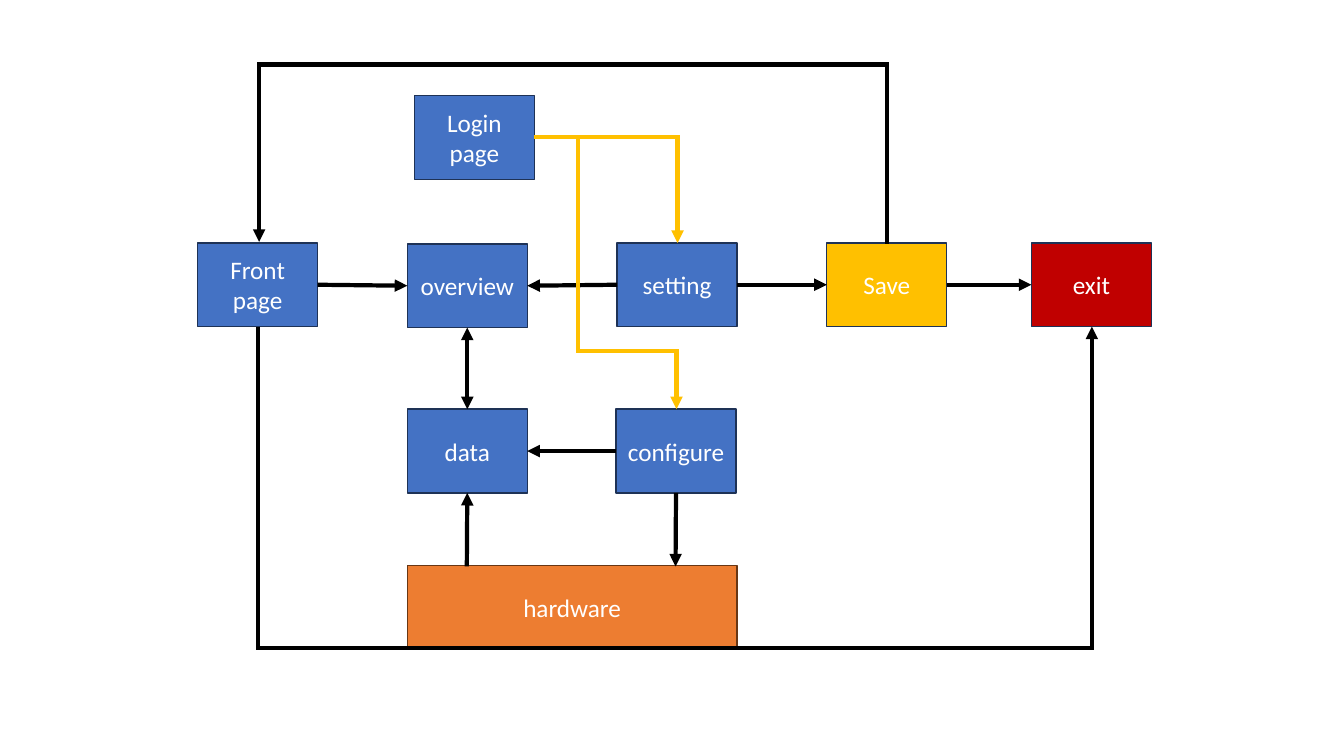
from lxml.etree import SubElement as Sub
from pptx import Presentation
from pptx.dml.color import RGBColor as Rgb
from pptx.enum.shapes import MSO_CONNECTOR as Conn, MSO_SHAPE as Kind
from pptx.enum.text import MSO_ANCHOR as Anchor, PP_ALIGN as Align
from pptx.oxml.ns import qn
from pptx.util import Pt

PX = 9144
TOP, LEFT, BOTTOM, RIGHT = range(4)
BLUE, GOLD, RED, ORANGE = "4472C4", "FFC000", "C00000", "ED7D31"
NAVY, BROWN, BLACK, WHITE = "1E3256", "683715", "000000", "FFFFFF"

BOXES = {
    "front": ("Front page", 196, 241, BLUE),
    "login": ("Login\npage", 411, 95, BLUE),
    "over": ("overview", 404, 242, BLUE),
    "set": ("setting", 612, 241, BLUE),
    "conf": ("configure", 611, 406, BLUE),
    "data": ("data", 404, 406, BLUE),
    "exit": ("exit", 1023, 241, RED),
    "save": ("Save", 820, 241, GOLD),
}

LINKS = [
    ("front", RIGHT, "over", LEFT),
    ("set", LEFT, "over", RIGHT),
    ("set", RIGHT, "save", LEFT),
    ("save", RIGHT, "exit", LEFT),
    ("conf", LEFT, "data", RIGHT),
]

ROUTES = [
    (GOLD, [(573, 136), (573, 348), (671, 348), (671, 406)]),
    (GOLD, [(530, 136), (672, 136), (672, 241)]),
    (BLACK, [(880, 242), (880, 64), (257, 64), (257, 240)]),
    (BLACK, [(256, 324), (256, 643), (1083, 643), (1083, 324)]),
]


def paint(form, color):
    form.solid()
    form.fore_color.rgb = Rgb.from_string(color)


def add_box(slide, text, x, y, color, width=119, edge=NAVY):
    box = slide.shapes.add_shape(
        Kind.RECTANGLE, x * PX, y * PX, width * PX, 83 * PX)
    box.shadow.inherit = False
    paint(box.fill, color)
    paint(box.line.fill, edge)
    box.line.width = Pt(1)
    frame = box.text_frame
    frame.word_wrap = True
    frame.vertical_anchor = Anchor.MIDDLE
    frame.text = text
    for par in frame.paragraphs:
        par.alignment = Align.CENTER
        par.font.name = "Calibri"
        par.font.size = Pt(18)
        paint(par.font.fill, WHITE)
    return box


def style(shape, color, both=False):
    paint(shape.line.fill, color)
    shape.line.width = Pt(3)
    edge = shape.line.fill._xPr
    Sub(edge, qn("a:miter"), lim="800000")
    if both:
        Sub(edge, qn("a:headEnd"), type="triangle")
    Sub(edge, qn("a:tailEnd"), type="triangle")


def add_link(slide, start=None, end=None, at=(0, 0), both=False):
    x, y = (v * PX for v in at)
    link = slide.shapes.add_connector(Conn.STRAIGHT, x, y, x, y)
    if start:
        link.begin_connect(*start)
    if end:
        link.end_connect(*end)
    style(link, BLACK, both)
    Sub(link._element.spPr, qn("a:effectLst"))


def add_route(slide, color, points):
    pen = slide.shapes.build_freeform(*points[0], scale=PX)
    pen.add_line_segments(points[1:], close=False)
    route = pen.convert_to_shape()
    route.shadow.inherit = False
    route.fill.background()
    style(route, color)


def main():
    deck = Presentation()
    deck.slide_width, deck.slide_height = 1333 * PX, 750 * PX
    slide = deck.slides.add_slide(deck.slide_layouts[6])
    boxes = {key: add_box(slide, *data) for key, data in BOXES.items()}
    add_box(slide, "hardware", 404, 561, ORANGE, 327, BROWN)
    for start, side, end, face in LINKS:
        add_link(slide, (boxes[start], side), (boxes[end], face))
    over, data, conf = (boxes[key] for key in ("over", "data", "conf"))
    add_link(slide, (over, BOTTOM), (data, TOP), both=True)
    add_link(slide, start=(conf, BOTTOM), at=(670, 562))
    add_link(slide, end=(data, TOP + BOTTOM), at=(463, 562))
    for color, points in ROUTES:
        add_route(slide, color, points)
    deck.save("out.pptx")


if __name__ == "__main__":
    main()
